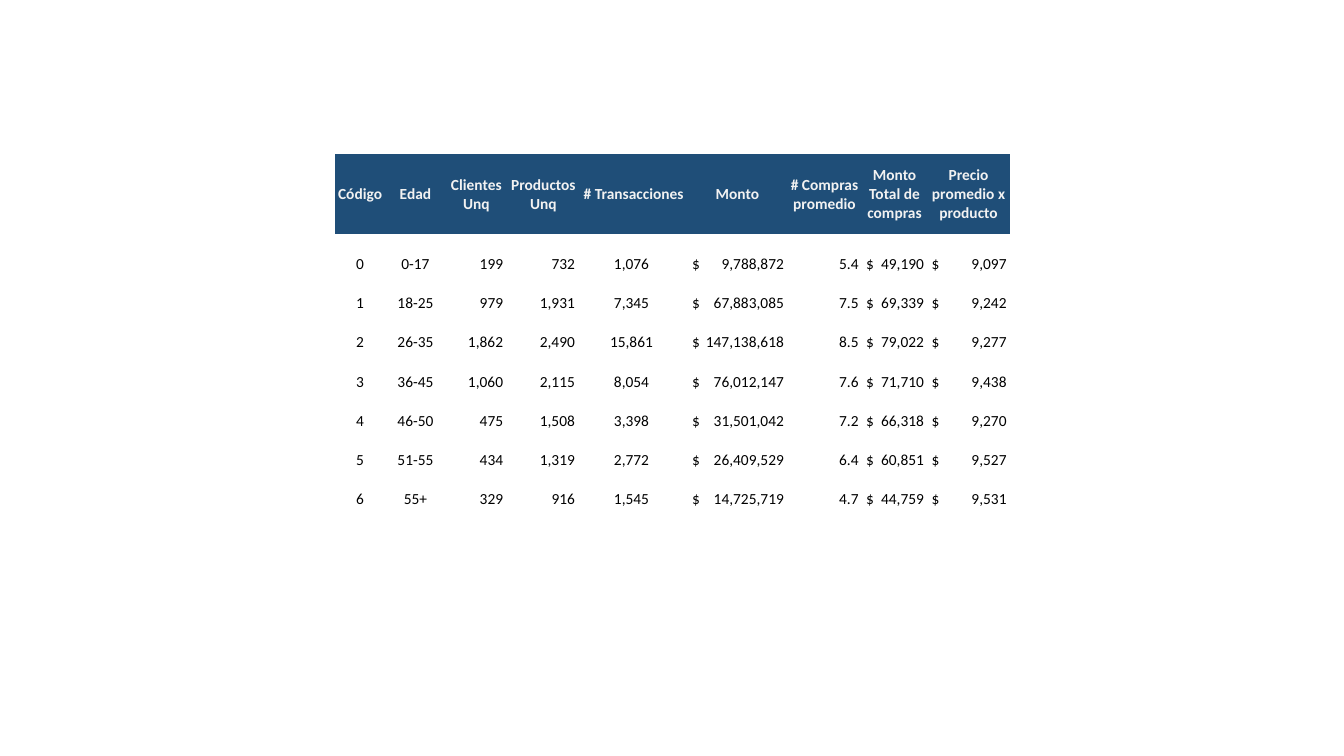
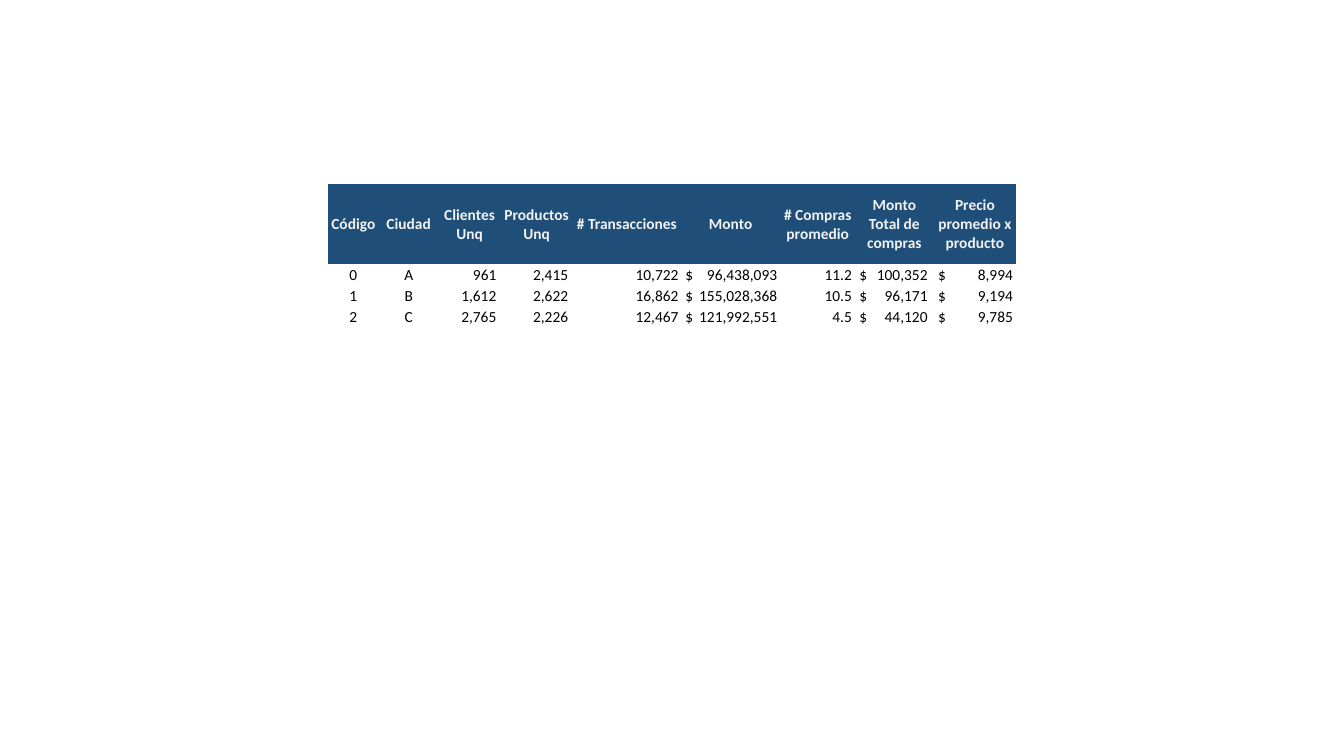
import pptx
import pptx.dml.color
import pptx.enum.text
import pptx.oxml
import pptx.oxml.ns
import pptx.util

Cm = pptx.util.Cm
Pt = pptx.util.Pt
RGBColor = pptx.dml.color.RGBColor
Align = pptx.enum.text.PP_ALIGN
Anchor = pptx.enum.text.MSO_ANCHOR

HEADER_FILL = RGBColor(0x1F, 0x4E, 0x78)
HEADER_TEXT = RGBColor(0xF2, 0xF2, 0xF2)
BODY_TEXT = RGBColor(0x00, 0x00, 0x00)
FONT_NAME = "Calibri"
FONT_SIZE = Pt(11)
NO_STYLE_NO_GRID = "{2D5ABB26-0587-4C30-8999-92F81FD0307C}"
HEADER_HEIGHT = 2.02
INSET = 0.03
DOLLAR_INDENT = 0.11


def fill_cell(cell, text, alignment, anchor, color, bold):
    cell.margin_left = cell.margin_right = cell.margin_top = Cm(INSET)
    cell.margin_bottom = 0
    cell.vertical_anchor = anchor
    paragraph = cell.text_frame.paragraphs[0]
    paragraph.text = text
    paragraph.alignment = alignment
    font = paragraph.runs[0].font
    font.name = FONT_NAME
    font.size = FONT_SIZE
    font.bold = bold
    font.color.rgb = color
    return paragraph


def add_right_tab(paragraph, position):
    properties = paragraph._p.get_or_add_pPr()
    properties.append(pptx.oxml.parse_xml(
        f'<a:tabLst {pptx.oxml.ns.nsdecls("a")}>'
        f'<a:tab pos="{position}" algn="r"/></a:tabLst>'))


tables = [
    {
        "group": "Edad",
        "left": 8.44, "top": 3.88, "row_height": 0.99, "total_width": 1.65,
        "transactions_align": Align.CENTER,
        "right_margins": [INSET, INSET, 0.1, 0.12, 0.14, 0.08, 0.08, 0.08, 0.08],
        "rows": [
            ("0", "0-17", "199", "732", "1,076", "9,788,872", "5.4", "49,190", "9,097"),
            ("1", "18-25", "979", "1,931", "7,345", "67,883,085", "7.5", "69,339", "9,242"),
            ("2", "26-35", "1,862", "2,490", "15,861", "147,138,618", "8.5", "79,022", "9,277"),
            ("3", "36-45", "1,060", "2,115", "8,054", "76,012,147", "7.6", "71,710", "9,438"),
            ("4", "46-50", "475", "1,508", "3,398", "31,501,042", "7.2", "66,318", "9,270"),
            ("5", "51-55", "434", "1,319", "2,772", "26,409,529", "6.4", "60,851", "9,527"),
            ("6", "55+", "329", "916", "1,545", "14,725,719", "4.7", "44,759", "9,531"),
        ],
    },
    {
        "group": "Ciudad",
        "left": 8.27, "top": 4.63, "row_height": 0.53, "total_width": 1.98,
        "transactions_align": Align.RIGHT,
        "right_margins": [INSET, INSET, 0.1, 0.12, 0.06, 0.08, 0.08, 0.15, 0.08],
        "rows": [
            ("0", "A", "961", "2,415", "10,722", "96,438,093", "11.2", "100,352", "8,994"),
            ("1", "B", "1,612", "2,622", "16,862", "155,028,368", "10.5", "96,171", "9,194"),
            ("2", "C", "2,765", "2,226", "12,467", "121,992,551", "4.5", "44,120", "9,785"),
        ],
    },
]

presentation = pptx.Presentation()
presentation.slide_width = Cm(33.87)
presentation.slide_height = Cm(19.05)

for data in tables:
    headers = ["Código", data["group"], "Clientes Unq", "Productos Unq",
               "# Transacciones", "Monto", "# Compras promedio",
               "Monto Total de compras", "Precio promedio x producto"]
    widths = [1.27, 1.52, 1.55, 1.83, 2.72, 2.51, 1.88, data["total_width"], 2.08]
    alignments = [Align.CENTER, Align.CENTER, Align.RIGHT, Align.RIGHT,
                  data["transactions_align"], Align.LEFT, Align.RIGHT,
                  Align.LEFT, Align.LEFT]
    row_count = len(data["rows"])

    slide = presentation.slides.add_slide(presentation.slide_layouts[6])
    table = slide.shapes.add_table(
        row_count + 1, len(headers), Cm(data["left"]), Cm(data["top"]),
        Cm(sum(widths)), Cm(HEADER_HEIGHT + row_count * data["row_height"])).table
    table._tbl.tblPr.find(pptx.oxml.ns.qn("a:tableStyleId")).text = NO_STYLE_NO_GRID
    table.horz_banding = False
    for row in table.rows:
        row.height = Cm(data["row_height"])
    table.rows[0].height = Cm(HEADER_HEIGHT)

    for column, header in enumerate(headers):
        table.columns[column].width = Cm(widths[column])
        cell = table.cell(0, column)
        fill_cell(cell, header, Align.CENTER, Anchor.MIDDLE, HEADER_TEXT, True)
        cell.fill.solid()
        cell.fill.fore_color.rgb = HEADER_FILL

    for row_index, values in enumerate(data["rows"], start=1):
        for column, value in enumerate(values):
            cell = table.cell(row_index, column)
            is_money = alignments[column] == Align.LEFT
            text = f"$\t{value}" if is_money else value
            paragraph = fill_cell(cell, text, alignments[column],
                                  Anchor.BOTTOM, BODY_TEXT, False)
            cell.fill.background()
            right_margin = data["right_margins"][column]
            if is_money:
                cell.margin_left = Cm(DOLLAR_INDENT)
                add_right_tab(paragraph, Cm(widths[column] - DOLLAR_INDENT - right_margin))
            else:
                cell.margin_right = Cm(right_margin)

presentation.save("out.pptx")
